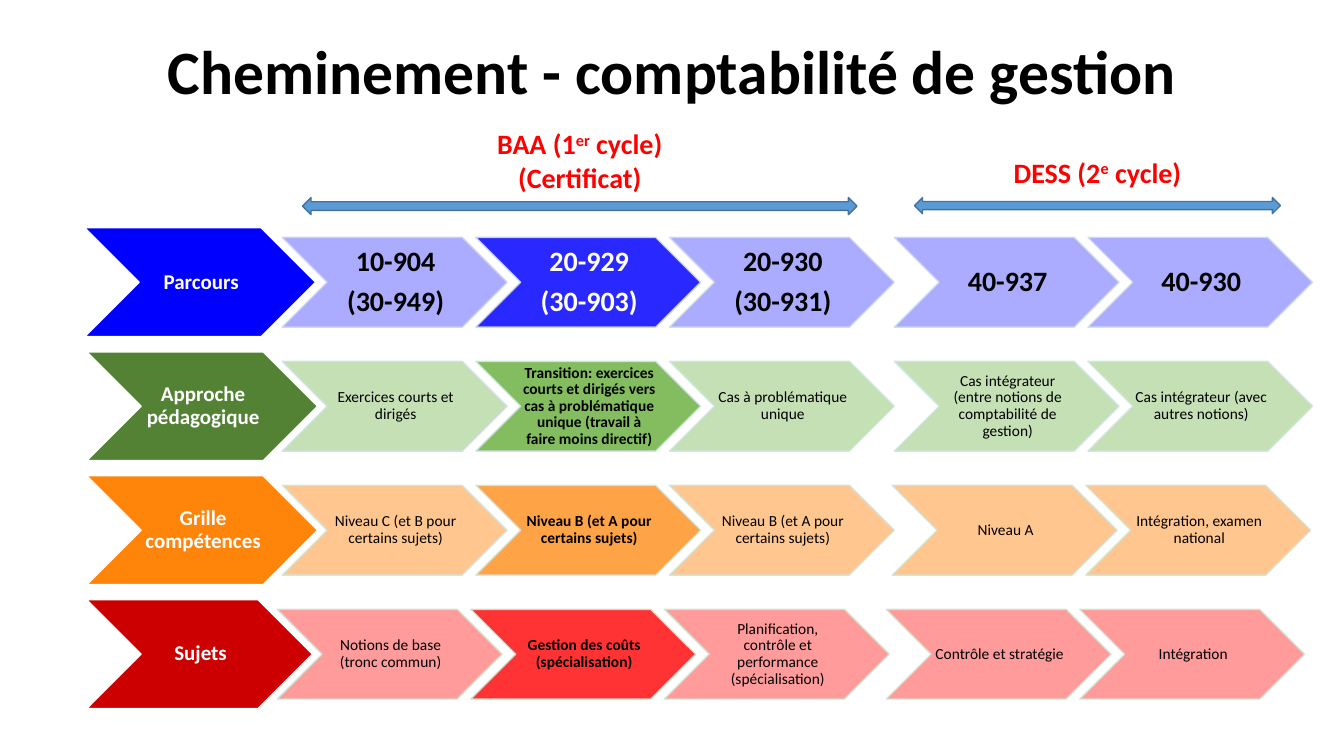
from lxml import etree
from pptx import Presentation
from pptx.dml.color import RGBColor
from pptx.enum.shapes import MSO_SHAPE
from pptx.enum.text import MSO_ANCHOR, PP_ALIGN
from pptx.oxml.ns import qn
from pptx.util import Inches, Pt

CHEVRON = MSO_SHAPE.CHEVRON
DOUBLE_ARROW = MSO_SHAPE.LEFT_RIGHT_ARROW
CENTER = PP_ALIGN.CENTER
MIDDLE = MSO_ANCHOR.MIDDLE

FIRST_TOP, ROW_PITCH = 2.26, 1.23
HEADER_HEIGHT = 1.08
STEP_WIDTH, STEP_HEIGHT = 2.23, 0.89
STEP_PITCH = 1.92
SPECIALISED = 1  # column drawn in the strong colour
BAA_STEPS = 3

# Steps hold a label and an outline colour.
ROWS = [
    dict(header="Parcours", left=0.84, width=2.29, baa=2.8, dess=8.87,
         dark="0000FF", light="ABABFF", strong="2929FF", strong_text="FFFFFF",
         size=20, all_bold=True,
         steps=[("10-904\n(30-949)", "CFD5EA"), ("20-929\n(30-903)", "CFD8E9"),
                ("20-930\n(30-931)", "CFDBE9"), ("40-937", "CFDDE9"),
                ("40-930", "CFE0E8")]),
    dict(header="Approche pédagogique", left=0.86, width=2.29, baa=2.8, dess=8.87,
         dark="548235", light="C5E0B4", strong="83BD5F", strong_text="000000",
         size=11, all_bold=False,
         steps=[("Exercices courts et dirigés", "CFE2E8"),
                ("Transition: exercices courts et dirigés vers cas à problématique "
                 "unique (travail à faire moins directif)", "CFE5E8"),
                ("Cas à problématique unique", "CFE7E7"),
                ("Cas intégrateur (entre notions de comptabilité de gestion)", "CFE7E5"),
                ("Cas intégrateur (avec autres notions)", "CFE7E2")]),
    dict(header="Grille compétences", left=0.86, width=2.29, baa=2.8, dess=8.85,
         dark="FE840A", light="FFC78F", strong="FFA347", strong_text="000000",
         size=11, all_bold=False,
         steps=[("Niveau C (et B pour certains sujets)", "CFE6DF"),
                ("Niveau B (et A pour certains sujets)", "CFE6DC"),
                ("Niveau B (et A pour certains sujets)", "CFE5DA"),
                ("Niveau A", "CFE5D7"),
                ("Intégration, examen national", "CFE5D5")]),
    dict(header="Sujets", left=0.86, width=2.24, baa=2.75, dess=8.79,
         dark="CC0000", light="FF9B9B", strong="FF3333", strong_text="000000",
         size=11, all_bold=False,
         steps=[("Notions de base (tronc commun)", "CFE4D2"),
                ("Gestion des coûts (spécialisation)", "CFE4D0"),
                ("Planification, contrôle et performance (spécialisation)", "D1E4CF"),
                ("Contrôle et stratégie", "D3E3CF"),
                ("Intégration", "D5E3CF")]),
]


def color(hex_code):
    return RGBColor.from_string(hex_code)


class PathwaySlide:
    font_name = "Calibri"

    def __init__(self, prs):
        self.slide = prs.slides.add_slide(prs.slide_layouts[5])

    def style(self, paragraph, size, hex_code, bold):
        paragraph.alignment = CENTER
        font = paragraph.font
        font.name, font.size, font.bold = self.font_name, Pt(size), bold
        font.color.rgb = color(hex_code)

    def title(self, text, left, top, width, height):
        title = self.slide.shapes.title
        title.left, title.top = Inches(left), Inches(top)
        title.width, title.height = Inches(width), Inches(height)
        title.text_frame.text = text
        title.text_frame.vertical_anchor = MIDDLE
        paragraph = title.text_frame.paragraphs[0]
        paragraph.line_spacing = 0.9
        self.style(paragraph, 44, "000000", True)

    def shape(self, kind, left, top, width, height, fill, line):
        shape = self.slide.shapes.add_shape(
            kind, Inches(left), Inches(top), Inches(width), Inches(height))
        shape.shadow.inherit = False
        shape.fill.solid()
        shape.fill.fore_color.rgb = color(fill)
        shape.line.color.rgb = color(line)
        shape.line.width = Pt(1)
        return shape

    def chevron(self, text, left, top, width, height, fill, line,
                size, text_color, bold, line_opacity=100):
        chevron = self.shape(CHEVRON, left, top, width, height, fill, line)
        if line_opacity < 100:
            outline = chevron.line.fill._xPr.find(".//" + qn("a:srgbClr"))
            etree.SubElement(outline, qn("a:alpha"), val=str(line_opacity * 1000))
        frame = chevron.text_frame
        frame.word_wrap = True
        frame.vertical_anchor = MIDDLE
        frame.margin_left, frame.margin_right = Inches(0.02), 0
        frame.margin_top = frame.margin_bottom = Inches(0.01)
        frame.text = text
        for paragraph in frame.paragraphs:
            paragraph.line_spacing = 0.9
            self.style(paragraph, size, text_color, bold)
        for paragraph in frame.paragraphs[:-1]:
            paragraph.space_after = Pt(0.35 * size)

    def cycle(self, lines, left, top, width, height):
        """Add a cycle label; each line is a list of (text, is_superscript)."""
        box = self.slide.shapes.add_textbox(
            Inches(left), Inches(top), Inches(width), Inches(height))
        frame = box.text_frame
        frame.word_wrap = True
        for index, parts in enumerate(lines):
            paragraph = frame.add_paragraph() if index else frame.paragraphs[0]
            self.style(paragraph, 20, "FF0000", True)
            for text, is_superscript in parts:
                run = paragraph.add_run()
                run.text = text
                if is_superscript:
                    run.font._element.set("baseline", "30000")

    def row(self, row, top):
        self.chevron(row["header"], row["left"], top, row["width"], HEADER_HEIGHT,
                     row["dark"], "FFFFFF", 15, "FFFFFF", True)
        step_top = top + (HEADER_HEIGHT - STEP_HEIGHT) / 2
        for column, (text, outline) in enumerate(row["steps"]):
            if column < BAA_STEPS:
                left = row["baa"] + column * STEP_PITCH
            else:
                left = row["dess"] + (column - BAA_STEPS) * STEP_PITCH
            strong = column == SPECIALISED
            self.chevron(text, left, step_top, STEP_WIDTH, STEP_HEIGHT,
                         row["strong"] if strong else row["light"], outline,
                         row["size"], row["strong_text"] if strong else "000000",
                         strong or row["all_bold"], line_opacity=90)


def main():
    prs = Presentation()
    prs.slide_width, prs.slide_height = Inches(13.33), Inches(7.5)
    pathway = PathwaySlide(prs)
    pathway.title("Cheminement - comptabilité de gestion", 0.92, 0.23, 11.5, 1.01)
    for index, row in enumerate(ROWS):
        pathway.row(row, FIRST_TOP + index * ROW_PITCH)
    for left, width, height in [(3, 5.5, 0.17), (9.07, 3.63, 0.16)]:
        pathway.shape(DOUBLE_ARROW, left, 1.96, width, height, "5B9BD5", "43739E")
    pathway.cycle([[("BAA (1", False), ("er", True), (" cycle)", False)],
                   [("(Certificat)", False)]], 3, 1.21, 5.5, 0.77)
    pathway.cycle([[("DESS (2", False), ("e", True), (" cycle)", False)]],
                  9.07, 1.49, 3.63, 0.44)
    prs.save("out.pptx")


if __name__ == "__main__":
    main()
